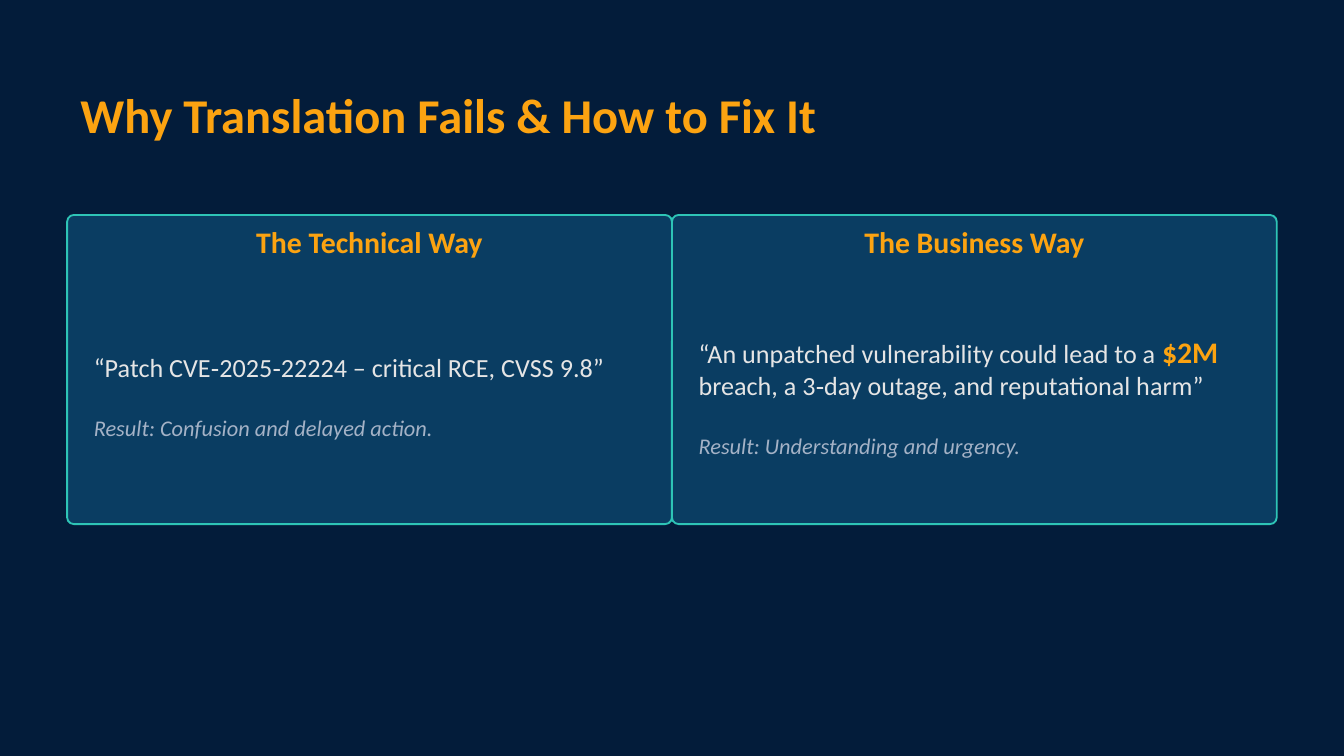
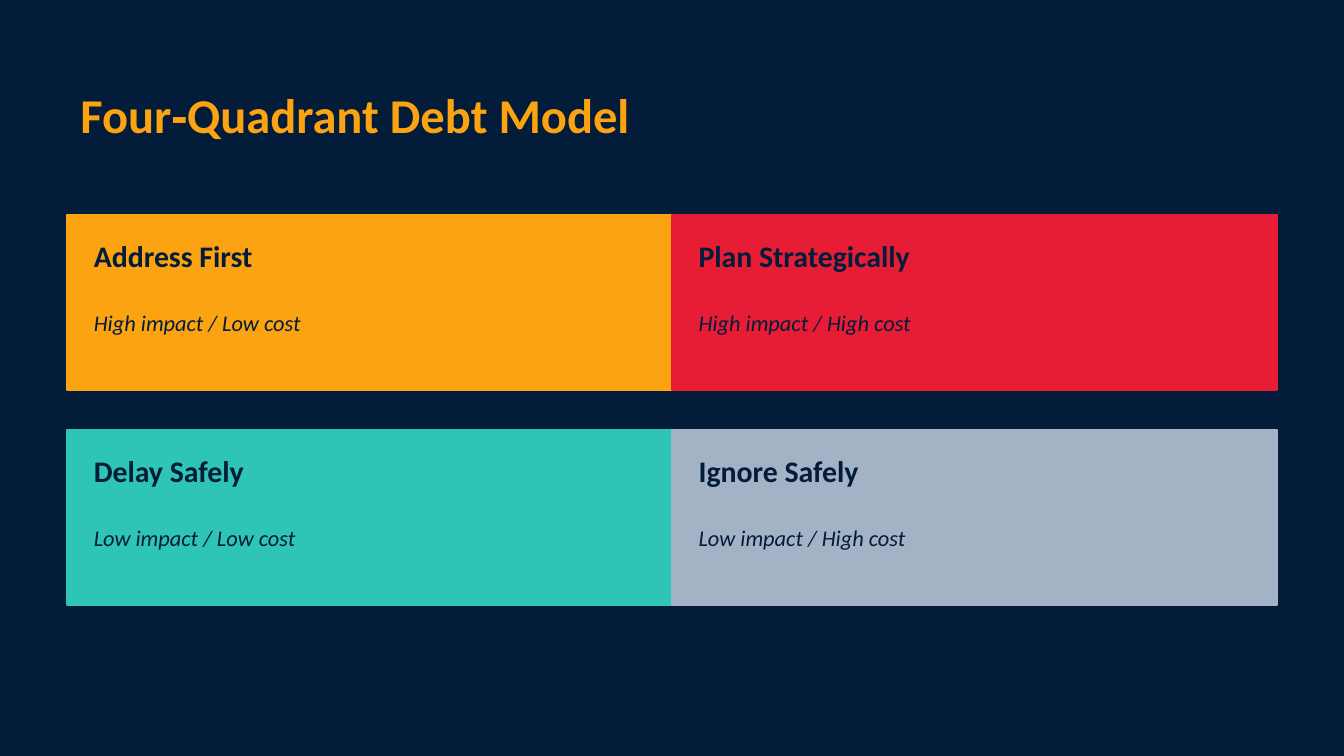
from pptx import Presentation
from pptx.dml.color import RGBColor
from pptx.enum.shapes import MSO_SHAPE
from pptx.enum.text import MSO_ANCHOR, PP_ALIGN
from pptx.util import Pt

PX = 11430  # 80 px to the inch
SLIDE_WIDTH, SLIDE_HEIGHT = 800, 450
FONT = "Calibri"

NAVY = RGBColor(0x03, 0x1C, 0x3A)
BLUE = RGBColor(0x0A, 0x3D, 0x62)
ORANGE = RGBColor(0xFC, 0xA3, 0x11)
RED = RGBColor(0xE7, 0x1D, 0x36)
TEAL = RGBColor(0x2E, 0xC4, 0xB6)
GREY = RGBColor(0xA4, 0xB2, 0xC6)
LIGHT = RGBColor(0xE5, 0xE5, 0xE5)

MARGIN, TOP = 40, 128
COLUMN = 360
CARD_HEIGHT, HEADER_HEIGHT, CARD_RADIUS = 184, 32, 4
QUADRANT_HEIGHT, QUADRANT_GAP = 104, 24
PADDING = 8

CARDS = [
    ("The Technical Way",
     [("“Patch CVE‑2025‑22224 – critical RCE, CVSS 9.8”", False)],
     "Result: Confusion and delayed action."),
    ("The Business Way",
     [("“An unpatched vulnerability could lead to a ", False),
      ("$2M", True),
      (" breach, a 3‑day outage, and reputational harm”", False)],
     "Result: Understanding and urgency."),
]

QUADRANTS = [
    ("Address First", "High impact / Low cost", ORANGE),
    ("Plan Strategically", "High impact / High cost", RED),
    ("Delay Safely", "Low impact / Low cost", TEAL),
    ("Ignore Safely", "Low impact / High cost", GREY),
]


def emu(*lengths):
    return [length * PX for length in lengths]


def style(font, size, color, bold=False, italic=False):
    font.name = FONT
    font.size = Pt(size)
    font.color.rgb = color
    font.bold = bold
    font.italic = italic


def add_text_frame(slide, box):
    frame = slide.shapes.add_textbox(*emu(*box)).text_frame
    frame.word_wrap = True
    frame.vertical_anchor = MSO_ANCHOR.MIDDLE
    return frame


def add_line_of_text(slide, box, text, size, color, **options):
    paragraph = add_text_frame(slide, box).paragraphs[0]
    paragraph.text = text
    style(paragraph.font, size, color, **options)
    return paragraph


def add_panel(slide, kind, box, fill, line):
    shape = slide.shapes.add_shape(kind, *emu(*box))
    shape.shadow.inherit = False
    shape.fill.solid()
    shape.fill.fore_color.rgb = fill
    shape.line.color.rgb = line
    shape.line.width = Pt(1)
    return shape


def add_titled_slide(presentation, title, title_width):
    slide = presentation.slides.add_slide(presentation.slide_layouts[6])
    slide.background.fill.solid()
    slide.background.fill.fore_color.rgb = NAVY
    add_line_of_text(slide, (MARGIN, 40, title_width, 56), title, 26, ORANGE, bold=True)
    return slide


def add_card(slide, box, heading, message, result):
    left, top, width, height = box
    shape = add_panel(slide, MSO_SHAPE.ROUNDED_RECTANGLE, box, BLUE, TEAL)
    shape.adjustments[0] = CARD_RADIUS / height

    # Heading
    header = add_line_of_text(slide, (left, top, width, HEADER_HEIGHT),
                              heading, 16, ORANGE, bold=True)
    header.alignment = PP_ALIGN.CENTER

    # Quoted message, with key figures emphasised
    frame = add_text_frame(slide, (left + PADDING, top + HEADER_HEIGHT,
                                   width - 2 * PADDING, height - HEADER_HEIGHT))
    quote = frame.paragraphs[0]
    style(quote.font, 14, LIGHT)
    for text, emphasised in message:
        run = quote.add_run()
        run.text = text
        if emphasised:
            style(run.font, 16, ORANGE, bold=True)

    # Outcome
    outcome = frame.add_paragraph()
    outcome.text = result
    outcome.space_before = Pt(17)
    style(outcome.font, 12, GREY, italic=True)


def add_quadrant(slide, box, heading, rating, color):
    left, top, width, height = box
    add_panel(slide, MSO_SHAPE.RECTANGLE, box, color, color)
    text_left, text_width = left + PADDING, width - 2 * PADDING
    add_line_of_text(slide, (text_left, top + 8, text_width, 32),
                     heading, 16, NAVY, bold=True)
    add_line_of_text(slide, (text_left, top + 40, text_width, 48),
                     rating, 12, NAVY, italic=True)


def build_comparison_slide(presentation):
    slide = add_titled_slide(presentation, "Why Translation Fails & How to Fix It", 720)
    for column, card in enumerate(CARDS):
        box = (MARGIN + column * COLUMN, TOP, COLUMN, CARD_HEIGHT)
        add_card(slide, box, *card)


def build_quadrant_slide(presentation):
    slide = add_titled_slide(presentation, "Four‑Quadrant Debt Model", 760)
    for index, quadrant in enumerate(QUADRANTS):
        row, column = divmod(index, 2)
        box = (MARGIN + column * COLUMN, TOP + row * (QUADRANT_HEIGHT + QUADRANT_GAP),
               COLUMN, QUADRANT_HEIGHT)
        add_quadrant(slide, box, *quadrant)


def main():
    presentation = Presentation()
    presentation.slide_width, presentation.slide_height = emu(SLIDE_WIDTH, SLIDE_HEIGHT)
    build_comparison_slide(presentation)
    build_quadrant_slide(presentation)
    presentation.save("out.pptx")


if __name__ == "__main__":
    main()
